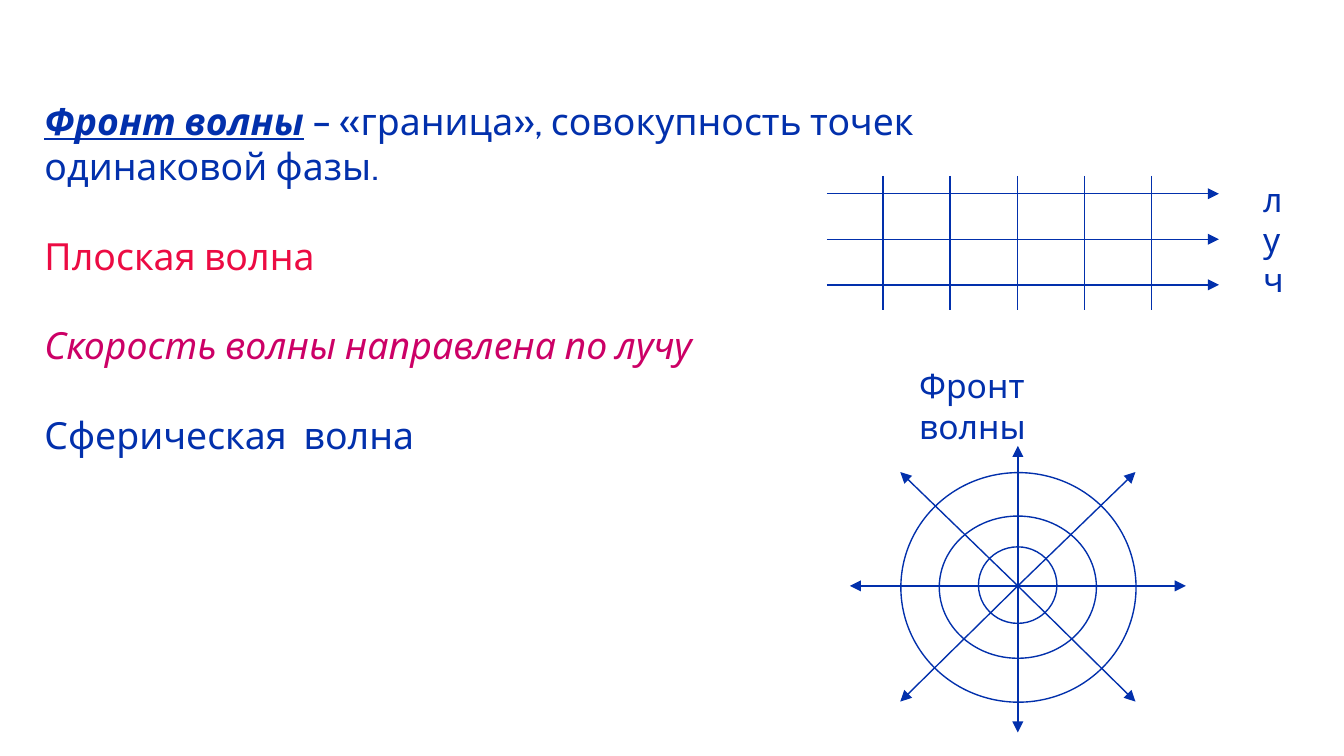
from itertools import product

from pptx import Presentation
from pptx.dml.color import RGBColor
from pptx.enum.shapes import MSO_CONNECTOR as Connector, MSO_SHAPE as Shape
from pptx.enum.text import MSO_ANCHOR as Anchor, MSO_AUTO_SIZE as AutoSize
from pptx.oxml.ns import qn
from pptx.util import Pt
from lxml.etree import SubElement

BLUE = RGBColor(0x02, 0x30, 0xAC)
RED = RGBColor(0xEC, 0x0B, 0x43)
MAGENTA = RGBColor(0xCC, 0x00, 0x66)
FONT = "Cabin"
LINE_WIDTH = Pt(0.75)


def add_span(para, text, size, color, bold=False, italic=False, underline=False):
    span = para.add_run()
    span.text = text
    font = span.font
    font.name, font.size = FONT, Pt(size)
    font.bold, font.italic, font.underline = bold, italic, underline
    font.color.rgb = color


def add_line(x1, y1, x2, y2, arrow=False):
    line = slide.shapes.add_connector(Connector.STRAIGHT, Pt(x1), Pt(y1), Pt(x2), Pt(y2))
    line.line.color.rgb = BLUE
    line.line.width = LINE_WIDTH
    if arrow:
        SubElement(line.line._get_or_add_ln(), qn("a:tailEnd"), type="triangle")
    SubElement(line._element.spPr, qn("a:effectLst"))


deck = Presentation()
deck.slide_width, deck.slide_height = Pt(720), Pt(405)
slide = deck.slides.add_slide(deck.slide_layouts[1])
title = slide.shapes.title._element
title.getparent().remove(title)

body = slide.placeholders[1]
body.left, body.top, body.width, body.height = Pt(16.6), Pt(49), Pt(486.7), Pt(225.4)
frame = body.text_frame
frame.word_wrap = True
frame.auto_size = AutoSize.NONE
frame.vertical_anchor = Anchor.TOP
definition = frame.paragraphs[0]
add_span(definition, "Фронт волны", 20, BLUE, bold=True, italic=True, underline=True)
add_span(definition, " – «граница», совокупность точек одинаковой фазы.", 20, BLUE)
for text, color, italic in [
    ("Плоская волна", RED, False),
    ("Скорость волны направлена по лучу", MAGENTA, True),
    ("Сферическая  волна", BLUE, False),
]:
    add_span(frame.add_paragraph(), text, 20, color, italic=italic)
for index, para in enumerate(frame.paragraphs):
    para.space_before = Pt(24 if index else 0)
    para.line_spacing = 1.0
    properties = para._p.get_or_add_pPr()
    properties.set("marL", "0")
    properties.set("indent", "0")
    SubElement(properties, qn("a:buNone"))

for column in range(5):
    x = 473 + 36 * column
    add_line(x, 94.3, x, 166.3)
for row in range(3):
    y = 103.8 + 24.4 * row
    add_line(443, y, 653, y, arrow=True)

for lines, left, top, width, height in [
    (["Фронт волны"], 485.3, 192.2, 119.5, 52),
    (["л", "у", "ч"], 669.6, 92.2, 23.8, 72.7),
]:
    box = slide.shapes.add_textbox(Pt(left), Pt(top), Pt(width), Pt(height))
    box.text_frame.word_wrap = True
    for index, text in enumerate(lines):
        para = box.text_frame.add_paragraph() if index else box.text_frame.paragraphs[0]
        add_span(para, text, 18, BLUE)

center_x, center_y = 545.3, 313.9
for left, top, width, height in [
    (482.6, 253.2, 126, 123),
    (503.2, 276.5, 84.2, 76.2),
    (524.2, 293, 42, 41),
]:
    front = slide.shapes.add_shape(Shape.OVAL, Pt(left), Pt(top), Pt(width), Pt(height))
    front.shadow.inherit = False
    front.fill.background()
    front.line.color.rgb = BLUE
    front.line.width = LINE_WIDTH

diagonals = list(product((-63, 63), (-61, 62)))
for dx, dy in diagonals + [(-90, 0), (90, 0), (0, -75), (0, 78.5)]:
    add_line(center_x, center_y, center_x + dx, center_y + dy, arrow=True)

deck.save("out.pptx")
